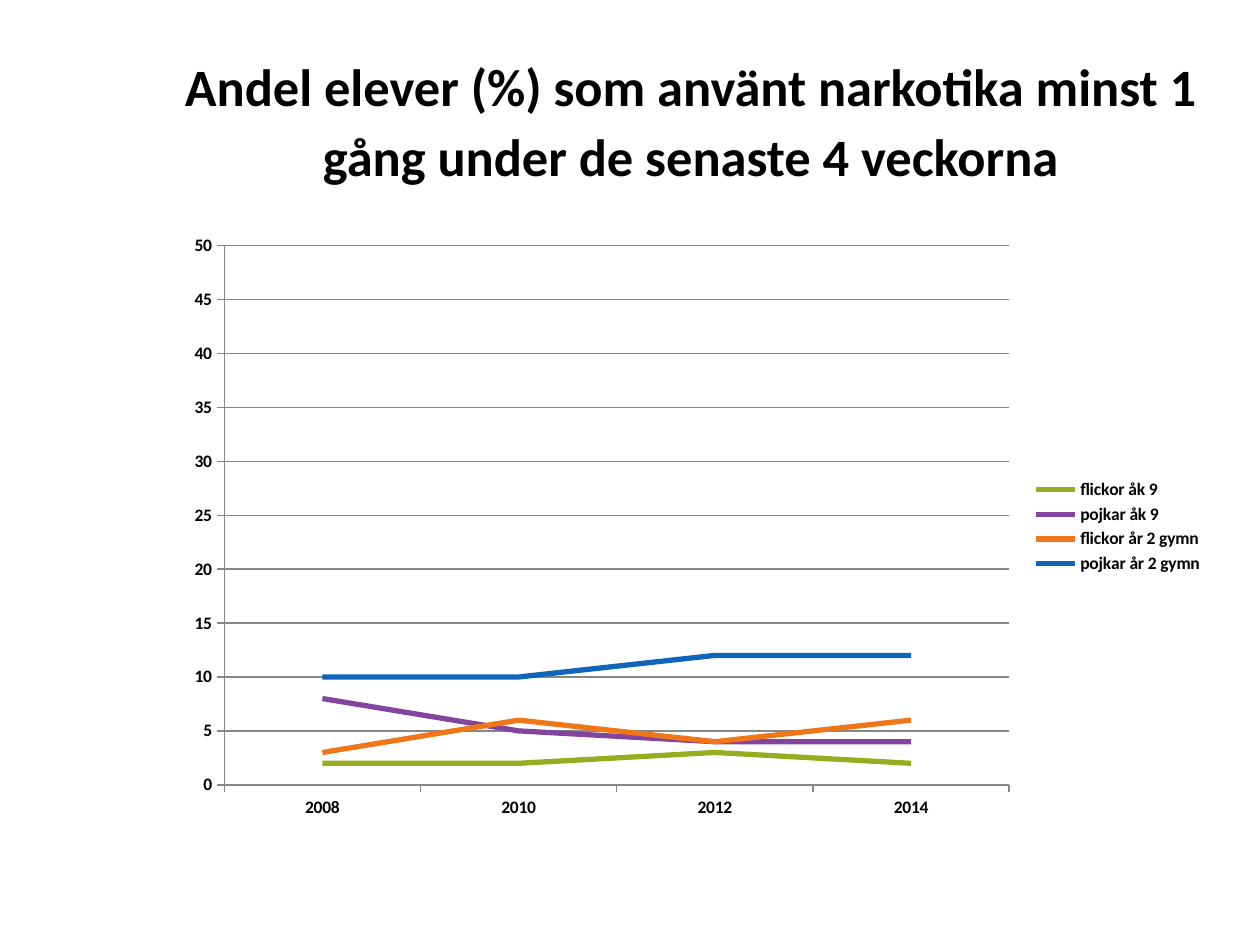
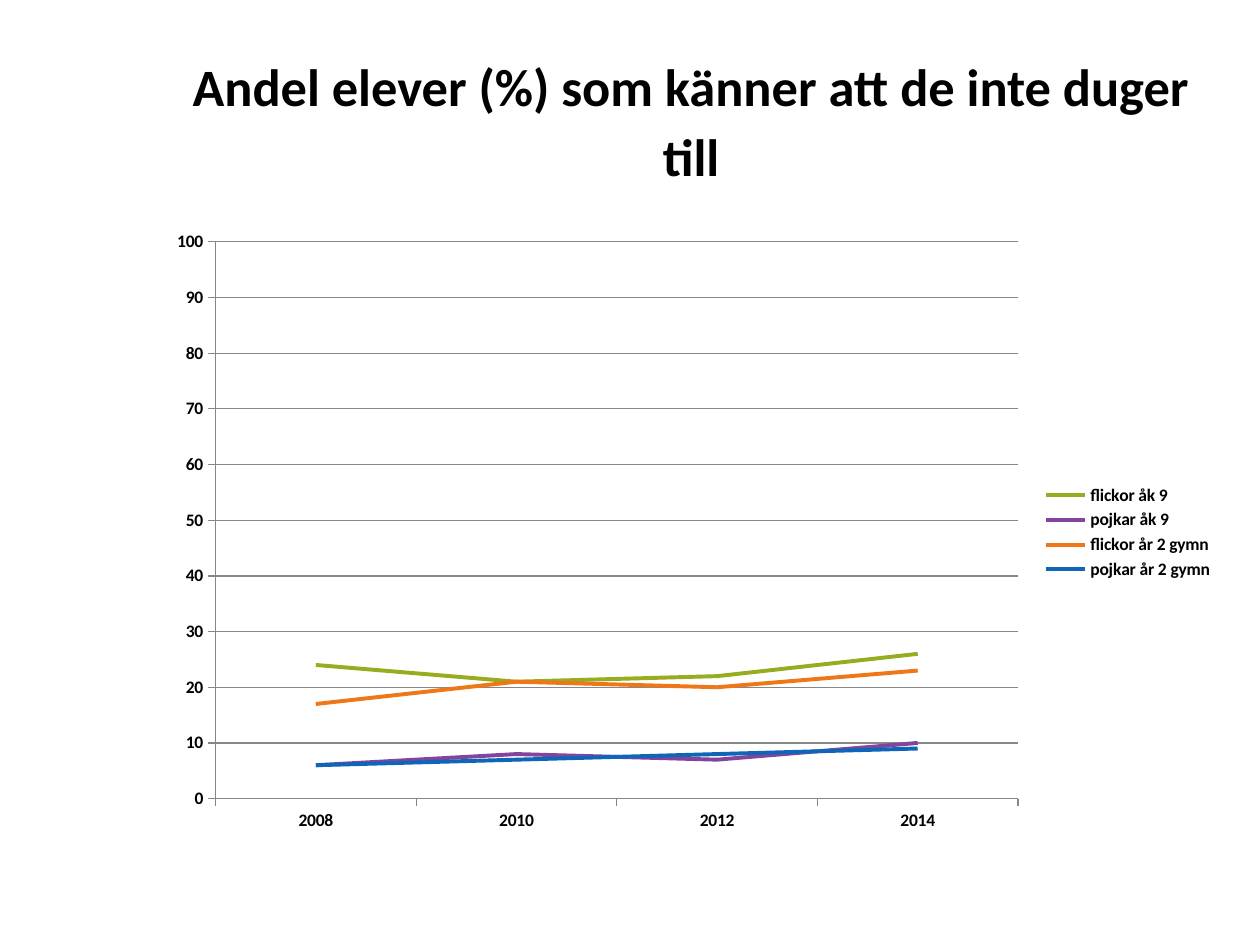
import pptx
import pptx.util
import pptx.oxml
import pptx.oxml.ns
import pptx.dml.color
import pptx.chart.data
import pptx.enum.chart
import pptx.enum.text

Inches = pptx.util.Inches
Pt = pptx.util.Pt
FONT = "Calibri"
COLORS = {
    "text": "000000",
    "grid": "878787",
    "paper": "FFFFFF",
    "flickor åk 9": "97AC1E",
    "pojkar åk 9": "83449D",
    "flickor år 2 gymn": "F07717",
    "pojkar år 2 gymn": "0F65B8",
}
GROUPS = ["flickor åk 9", "pojkar åk 9", "flickor år 2 gymn", "pojkar år 2 gymn"]
YEARS = ["2008", "2010", "2012", "2014"]
TITLE_BOX = (1.24, 0.3, 8.49, 1.25)

SLIDES = [
    {
        "title": "Andel elever (%) som använt narkotika minst 1 gång under de senaste 4 veckorna",
        "box": (1.38, 1.78, 8.27, 4.8),
        "plot": (1.78, 1.95, 6.23, 4.28),
        "top": 50,
        "step": 5,
        "width": 3,
        "rows": [(2, 2, 3, 2), (8, 5, 4, 4), (3, 6, 4, 6), (10, 10, 12, 12)],
    },
    {
        "title": "Andel elever (%) som känner att de inte duger till",
        "box": (1.24, 1.75, 8.49, 4.95),
        "plot": (1.71, 1.92, 6.37, 4.42),
        "top": 100,
        "step": 10,
        "width": 2.25,
        "rows": [(24, 21, 22, 26), (6, 8, 7, 10), (17, 21, 20, 23), (6, 7, 8, 9)],
    },
]


def color(name):
    return pptx.dml.color.RGBColor.from_string(COLORS[name])


def style_font(font, size):
    font.name = FONT
    font.size = Pt(size)
    font.bold = True
    font.color.rgb = color("text")


def style_line(line, name, width):
    line.color.rgb = color(name)
    line.width = Pt(width)


def add_title(slide, text):
    box = slide.shapes.add_textbox(*map(Inches, TITLE_BOX))
    frame = box.text_frame
    frame.word_wrap = True
    frame.vertical_anchor = pptx.enum.text.MSO_ANCHOR.MIDDLE
    para = frame.paragraphs[0]
    para.alignment = pptx.enum.text.PP_ALIGN.CENTER
    para.line_spacing = Pt(40)
    run = para.add_run()
    run.text = text
    style_font(run.font, 30)


def place_plot(chart, box, plot):
    left, top, width, height = box
    parts = {
        "x": (plot[0] - left) / width,
        "y": (plot[1] - top) / height,
        "w": plot[2] / width,
        "h": plot[3] / height,
    }
    modes = '<c:layoutTarget val="inner"/><c:xMode val="edge"/><c:yMode val="edge"/>'
    sizes = "".join(f'<c:{key} val="{part:.4f}"/>' for key, part in parts.items())
    space = pptx.oxml.ns.nsdecls("c")
    layout = pptx.oxml.parse_xml(
        f"<c:layout {space}><c:manualLayout>{modes}{sizes}</c:manualLayout></c:layout>"
    )
    area = chart.element.find(".//" + pptx.oxml.ns.qn("c:plotArea"))
    for old in area.findall(pptx.oxml.ns.qn("c:layout")):
        area.remove(old)
    area.insert(0, layout)


def style_axis(axis):
    axis.major_tick_mark = pptx.enum.chart.XL_TICK_MARK.OUTSIDE
    axis.minor_tick_mark = pptx.enum.chart.XL_TICK_MARK.NONE
    style_line(axis.format.line, "grid", 0.75)
    style_font(axis.tick_labels.font, 10)


def add_lines(slide, item):
    data = pptx.chart.data.CategoryChartData()
    data.categories = YEARS
    for name, row in zip(GROUPS, item["rows"]):
        data.add_series(name, row)
    kind = pptx.enum.chart.XL_CHART_TYPE.LINE
    frame = slide.shapes.add_chart(kind, *map(Inches, item["box"]), data)
    chart = frame.chart
    chart.has_title = False
    style_font(chart.font, 10)
    chart.has_legend = True
    chart.legend.position = pptx.enum.chart.XL_LEGEND_POSITION.RIGHT
    chart.legend.include_in_layout = False
    style_font(chart.legend.font, 10)
    style_axis(chart.category_axis)
    scale = chart.value_axis
    style_axis(scale)
    scale.minimum_scale = 0
    scale.maximum_scale = item["top"]
    scale.major_unit = item["step"]
    scale.has_major_gridlines = True
    style_line(scale.major_gridlines.format.line, "grid", 0.75)
    chart.plots[0].vary_by_categories = False
    for line in chart.plots[0].series:
        line.smooth = False
        line.marker.style = pptx.enum.chart.XL_MARKER_STYLE.NONE
        style_line(line.format.line, line.name, item["width"])
    place_plot(chart, item["box"], item["plot"])


def main():
    deck = pptx.Presentation()
    deck.slide_width = Inches(10)
    deck.slide_height = Inches(7.5)
    for item in SLIDES:
        slide = deck.slides.add_slide(deck.slide_layouts[6])
        slide.background.fill.solid()
        slide.background.fill.fore_color.rgb = color("paper")
        add_title(slide, item["title"])
        add_lines(slide, item)
    deck.save("out.pptx")


if __name__ == "__main__":
    main()
